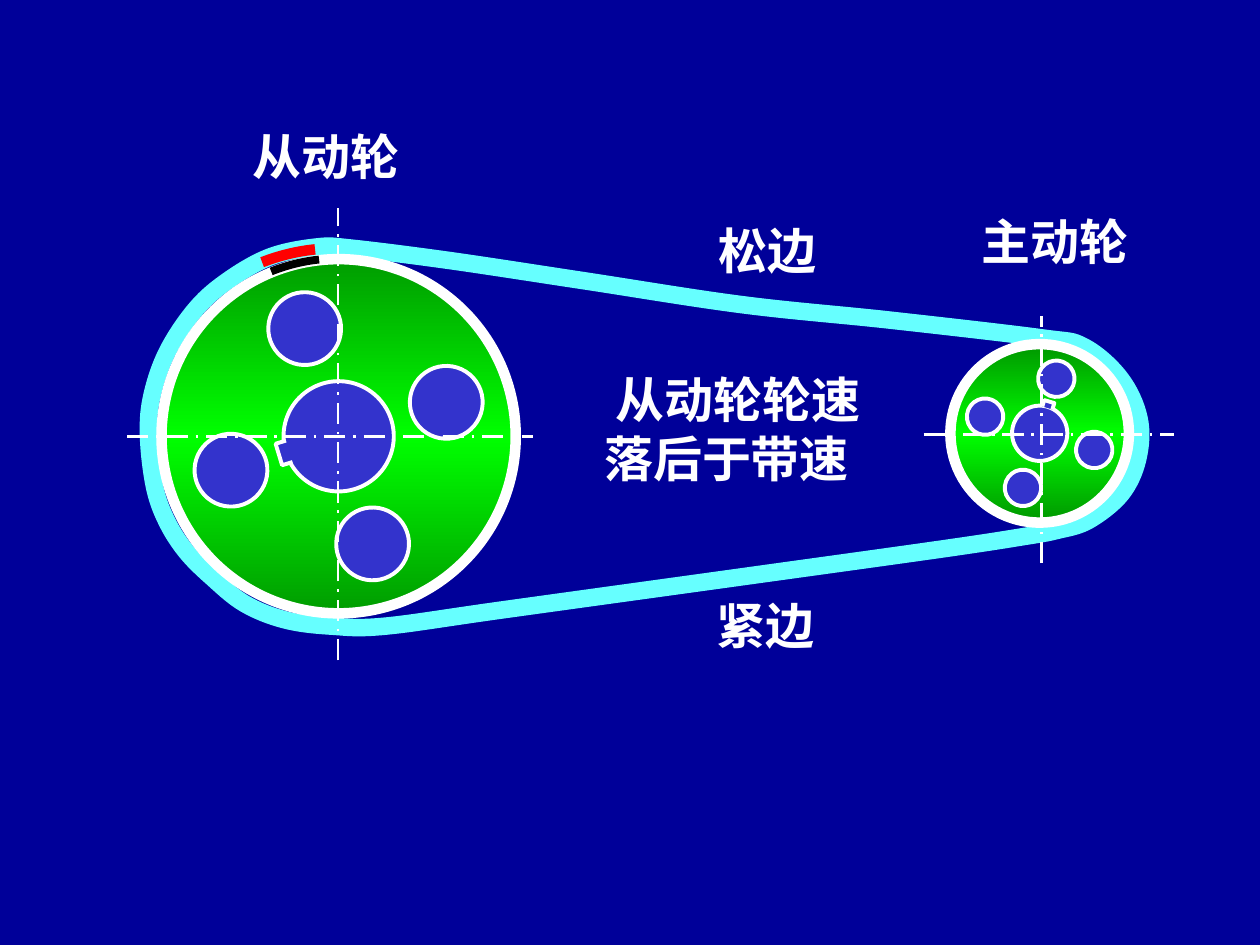
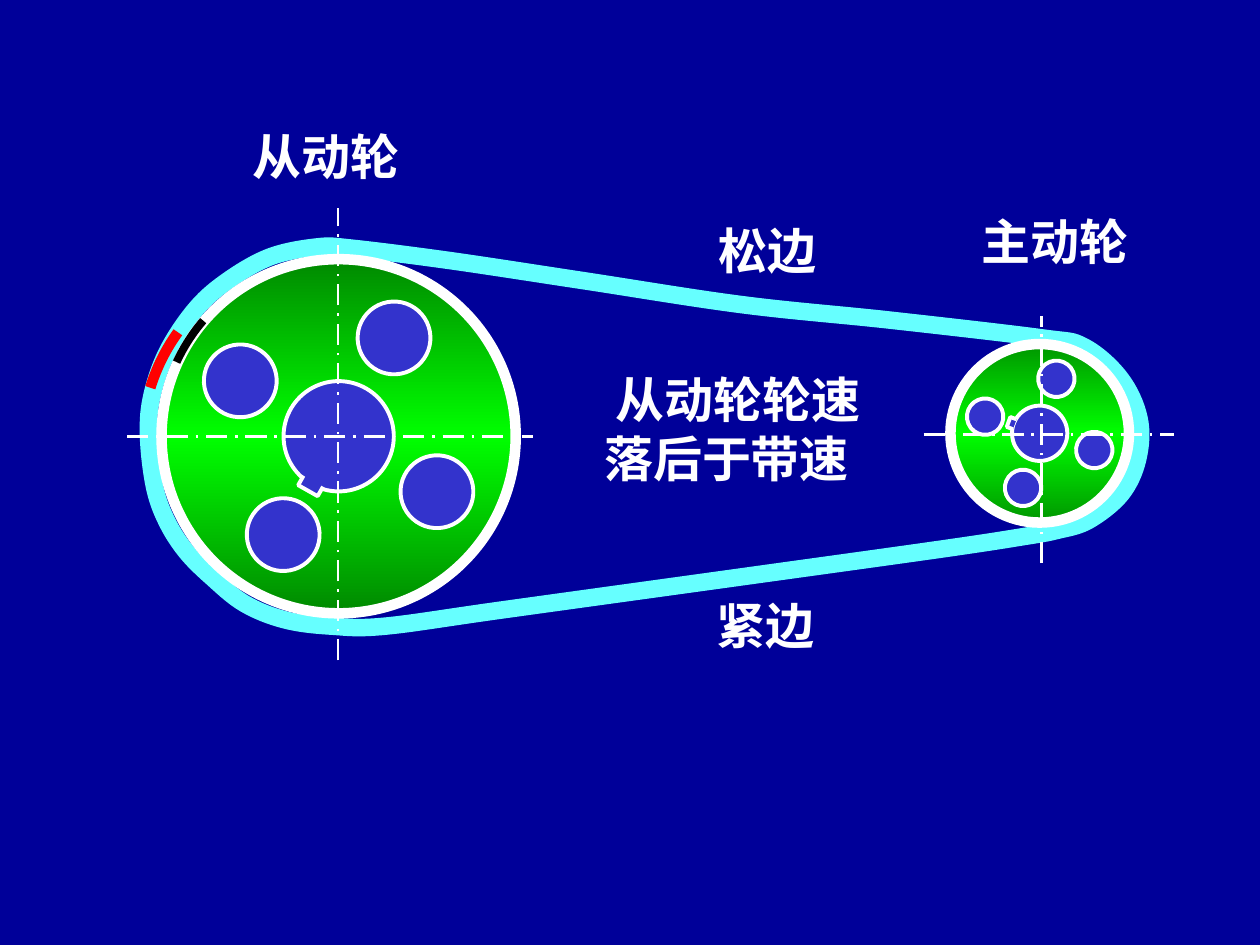
from copy import deepcopy
from math import cos, radians, sin

from lxml.etree import SubElement
from pptx import Presentation
from pptx.dml.color import RGBColor
from pptx.enum.dml import MSO_LINE
from pptx.enum.shapes import MSO_CONNECTOR, MSO_SHAPE
from pptx.enum.text import MSO_AUTO_SIZE, PP_ALIGN
from pptx.oxml.ns import qn
from pptx.util import Pt

THEME = {
    "background": RGBColor(0x00, 0x00, 0x99),
    "belt": RGBColor(0x66, 0xFF, 0xFF),
    "rim": RGBColor(0x00, 0x75, 0x00),
    "disc": RGBColor(0x00, 0xFF, 0x00),
    "hole": RGBColor(0x33, 0x33, 0xCC),
    "white": RGBColor(0xFF, 0xFF, 0xFF),
    "wheel_mark": RGBColor(0x00, 0x00, 0x00),
    "belt_mark": RGBColor(0xFF, 0x00, 0x00),
    "font": "Times New Roman",
    "size": Pt(28),
}

# Points the belt passes through, anticlockwise from above the driving wheel
BELT = [
    (594.7, 193), (508.3, 182.9), (424.8, 174.2), (334.8, 160.6),
    (257.8, 149), (200.9, 141.8), (181.4, 141.1), (154.1, 146.9),
    (128.9, 161.3), (110.9, 177.8), (95, 202.3), (86.4, 228.2),
    (85, 251.3), (88.6, 279.4), (95.8, 298.8), (106.6, 315.4),
    (121, 329.8), (139.7, 344.9), (162.7, 354.2), (189.4, 357.8),
    (220.3, 357.8), (287.3, 348.5), (417.6, 330.5), (537.1, 313.9),
    (584.6, 306.7), (604.1, 303.1), (622.1, 297.4), (640.8, 282.2),
    (650.2, 262.1), (650.9, 239), (640.1, 216), (619.2, 198),
]
DRIVEN = {"center": (193.5, 249.3), "radius": 101.2, "orbit": 64.5, "hole": 20.8,
          "hub": 31.5, "key": (29.5, 35.7, 6.4)}
DRIVER = {"center": (594.1, 247.6), "radius": 51, "orbit": 32.6, "hole": 10.4,
          "hub": 15.8, "key": (15.1, 18.9, 3)}
CENTER_LINES = [
    (72.7, 249.3, 304.6, 249.3), (193.2, 377.3, 193.2, 118.8),
    (527.8, 248.4, 671, 248.4), (595.2, 321.8, 595.2, 180.7),
]
# text, left, top, width, height, left inset, first-line indent
LABELS = [
    ("从动轮轮速落后于带速", 336.2, 207.6, 170.6, 74.9, 0.9, 13),
    ("主动轮", 543.6, 117.6, 125.3, 41, 7.2, 0),
    ("从动轮", 126.9, 68.5, 125.3, 41, 7.2, 0),
    ("松边", 399.5, 122.4, 85, 41, 7.2, 0),
    ("紧边", 398.2, 337, 85, 41, 7.2, 0),
]
RIGHT_INSET = Pt(13.5)
# Degrees clockwise from 3 o'clock: turns as (holes, key, wheel), marks as
# (colour, width, left, top, width, height, rotation, start, end)
SCENES = [
    {"driven": (162.5, 163, 122.5), "driver": (17, -73, 246.9),
     "marks": [("wheel_mark", 4.5, 91.7, 147.8, 202.5, 202.5, 335.3, 272.7, 288.7),
               ("belt_mark", 6, 78.6, 141.9, 227.5, 220.3, 0, 247.4, 263.6)]},
    {"driven": (119.4, 119.4, 79.3), "driver": (17, 200, 157.5),
     "marks": [("wheel_mark", 4.5, 91.7, 148, 202.5, 202.5, 292, 272.7, 288.7),
               ("belt_mark", 6, 81.1, 143.3, 224.6, 220.3, 0, 196.5, 214.7)]},
]


def polar(center, radius, angle, offset=0):
    """Point at a radius and angle, moved sideways by offset."""
    c, n = cos(radians(angle)), sin(radians(angle))
    return (center[0] + radius * c - offset * n,
            center[1] + radius * n + offset * c)


def add_outline(s, points, line, width, close=False):
    x, y = points[0]
    builder = s.shapes.build_freeform(Pt(x), Pt(y), scale=1.0)
    builder.add_line_segments([(Pt(x), Pt(y)) for x, y in points[1:]], close=close)
    sp = builder.convert_to_shape()
    sp.shadow.inherit = False
    sp.line.color.rgb = line
    sp.line.width = Pt(width)
    return sp


# Bezier points of a smooth closed curve: two handles and an end per stretch
belt_curve = [BELT[0]]
for i, p1 in enumerate(BELT):
    p0, p2, p3 = BELT[i - 1], BELT[(i + 1) % len(BELT)], BELT[(i + 2) % len(BELT)]
    belt_curve += [tuple(b + (c - a) / 6 for a, b, c in zip(p0, p1, p2)),
                   tuple(c - (d - b) / 6 for b, c, d in zip(p1, p2, p3)), p2]

prs = Presentation()
prs.slide_width, prs.slide_height = Pt(720), Pt(540)
background = prs.slide_master.background.fill
background.solid()
background.fore_color.rgb = THEME["background"]

for scene in SCENES:
    s = prs.slides.add_slide(prs.slide_layouts[6])
    belt = add_outline(s, belt_curve, THEME["belt"], 10, close=True)
    belt.fill.background()
    # Turn every three straight steps into one cubic curve
    steps = list(belt.element.iter(qn("a:lnTo")))
    for first, second, third in zip(steps[::3], steps[1::3], steps[2::3]):
        first.tag = qn("a:cubicBezTo")
        for step in (second, third):
            first.append(step[0])
            step.getparent().remove(step)

    for wheel, (turn, key_angle, rotation) in ((DRIVER, scene["driver"]),
                                               (DRIVEN, scene["driven"])):
        center = wheel["center"]
        discs = [(center, wheel["radius"], 6)]
        discs += [(polar(center, wheel["orbit"], turn + 90 * k), wheel["hole"], 2.25)
                  for k in range(4)]
        discs.append((center, wheel["hub"], 2.25))
        for i, ((x, y), radius, width) in enumerate(discs):
            sp = s.shapes.add_shape(MSO_SHAPE.OVAL, Pt(x - radius), Pt(y - radius),
                                    Pt(2 * radius), Pt(2 * radius))
            sp.shadow.inherit = False
            sp.rotation = rotation
            sp.line.color.rgb = THEME["white"]
            sp.line.width = Pt(width)
            if i:
                sp.fill.solid()
                sp.fill.fore_color.rgb = THEME["hole"]
                continue
            # The shading rim - disc - rim stays upright as the wheel turns
            sp.fill.gradient()
            sp.fill.gradient_angle = 90
            grad = sp.element.spPr.find(qn("a:gradFill"))
            grad.set("rotWithShape", "0")
            stops = grad.find(qn("a:gsLst"))
            stops.append(deepcopy(stops[0]))
            for stop, name, place in zip(sp.fill.gradient_stops,
                                         ("rim", "disc", "rim"), (0, 0.5, 1)):
                stop.color.rgb = THEME[name]
                stop.position = place

        inner, outer, half = wheel["key"]
        key = [polar(center, radius, key_angle, side) for radius, side in
               ((inner, half), (outer, half), (outer, -half), (inner, -half))]
        sp = add_outline(s, key, THEME["white"], 2.25)
        sp.fill.solid()
        sp.fill.fore_color.rgb = THEME["hole"]

    for x1, y1, x2, y2 in CENTER_LINES:
        line = s.shapes.add_connector(MSO_CONNECTOR.STRAIGHT,
                                      Pt(x1), Pt(y1), Pt(x2), Pt(y2))
        line.line.color.rgb = THEME["white"]
        line.line.width = Pt(1.5)
        line.line.dash_style = MSO_LINE.LONG_DASH_DOT
        SubElement(line.element.spPr, qn("a:effectLst"))

    for name, weight, left, top, width, height, rotation, start, end in scene["marks"]:
        sp = s.shapes.add_shape(MSO_SHAPE.ARC, Pt(left), Pt(top), Pt(width), Pt(height))
        sp.shadow.inherit = False
        sp.rotation = rotation
        # Arc angles are stored in 60000ths of a degree, set here in 100000ths
        sp.adjustments[0], sp.adjustments[1] = start * 0.6, end * 0.6
        sp.fill.background()
        sp.line.color.rgb = THEME[name]
        sp.line.width = Pt(weight)

    for text, left, top, width, height, inset, indent in LABELS:
        tf = s.shapes.add_textbox(Pt(left), Pt(top), Pt(width), Pt(height)).text_frame
        tf.word_wrap = True
        tf.auto_size = MSO_AUTO_SIZE.SHAPE_TO_FIT_TEXT
        tf.margin_left, tf.margin_right = Pt(inset), RIGHT_INSET
        p = tf.paragraphs[0]
        p.alignment = PP_ALIGN.CENTER
        if indent:
            p._p.get_or_add_pPr().set("indent", str(Pt(indent)))
        r = p.add_run()
        r.text = text
        r.font.name = THEME["font"]
        r.font.size = THEME["size"]
        r.font.bold = True
        r.font.color.rgb = THEME["white"]

prs.save("out.pptx")
